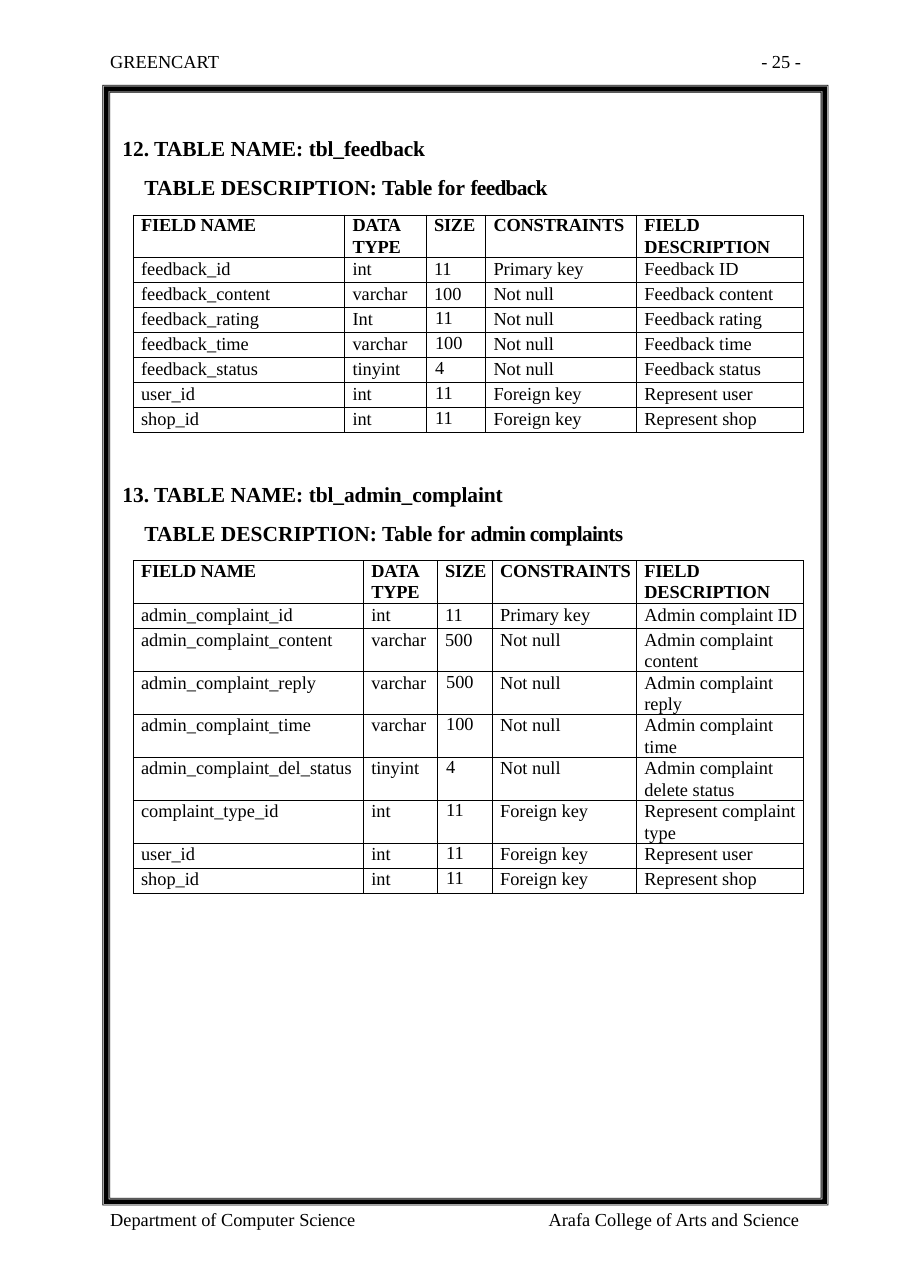
from lxml.etree import SubElement
from pptx import Presentation
from pptx.dml.color import RGBColor
from pptx.enum.text import MSO_ANCHOR, MSO_AUTO_SIZE, PP_ALIGN
from pptx.oxml.ns import qn
from pptx.util import Emu, Inches, Pt

PAGE_WIDTH, PAGE_HEIGHT = Inches(8.26), Inches(11.69)
INK = "000000"
BODY_FONT = {"name": "Times New Roman", "size": Pt(12), "bold": False}
HEADER_FONT = BODY_FONT | {"bold": True}
HEADING_FONT = HEADER_FONT | {"size": Pt(14)}
FRAME_INSETS = (0, 0.5, 1, 4, 4.5, 5)
HEADER_ROW, FIELD_ROW = 3.34, 1.94
TABLE_DROP = 7.27
COLUMN_NAMES = ("FIELD NAME", "DATA\nTYPE", "SIZE", "CONSTRAINTS", "FIELD DESCRIPTION")

SECTIONS = [
    {
        "top": 9.41,
        "name": ("12. TABLE NAME: ", "tbl_feedback"),
        "purpose": ("TABLE DESCRIPTION: Table for ", "feedback"),
        "columns": (23.24, 8.96, 6.54, 16.59, 18.28),
        "fields": [
            ("feedback_id", "int", "11", "Primary key", "Feedback ID"),
            ("feedback_content", "varchar", "100", "Not null", "Feedback content"),
            ("feedback_rating", "Int", "11", "Not null", "Feedback rating"),
            ("feedback_time", "varchar", "100", "Not null", "Feedback time"),
            ("feedback_status", "tinyint", "4", "Not null", "Feedback status"),
            ("user_id", "int", "11", "Foreign key", "Represent user"),
            ("shop_id", "int", "11", "Foreign key", "Represent shop"),
        ],
    },
    {
        "top": 36.27,
        "name": ("13. TABLE NAME: ", "tbl_admin_complaint"),
        "purpose": ("TABLE DESCRIPTION: Table for ", "admin complaints"),
        "columns": (25.3, 8.11, 6.05, 15.86, 18.28),
        "fields": [
            ("admin_complaint_id", "int", "11", "Primary key", "Admin complaint ID"),
            ("admin_complaint_content", "varchar", "500", "Not null", "Admin complaint content"),
            ("admin_complaint_reply", "varchar", "500", "Not null", "Admin complaint reply"),
            ("admin_complaint_time", "varchar", "100", "Not null", "Admin complaint time"),
            ("admin_complaint_del_status", "tinyint", "4", "Not null",
             "Admin complaint delete status"),
            ("complaint_type_id", "int", "11", "Foreign key", "Represent complaint type"),
            ("user_id", "int", "11", "Foreign key", "Represent user"),
            ("shop_id", "int", "11", "Foreign key", "Represent shop"),
        ],
    },
]


def color(hex_string):
    return RGBColor.from_string(hex_string)


def across(percent):
    return Emu(round(PAGE_WIDTH * percent / 100))


def down(percent):
    return Emu(round(PAGE_HEIGHT * percent / 100))


def area(left, top, width, height):
    """Turn percentages of the page into left, top, width and height."""
    return across(left), down(top), across(width), down(height)


def apply_format(target, values):
    for attribute, value in values.items():
        setattr(target, attribute, value)


def write_line(paragraph, pieces, font, indent, **spacing):
    """Fill a paragraph with (text, letter spacing in points) pieces."""
    paragraph._p.get_or_add_pPr().set("marL", str(Inches(indent)))
    apply_format(paragraph, {"alignment": PP_ALIGN.LEFT} | spacing)
    for text, tracking in pieces:
        run = paragraph.add_run()
        run.text = text
        apply_format(run.font, font)
        run.font.color.rgb = color(INK)
        if tracking:
            run._r.get_or_add_rPr().set("spc", str(round(tracking * 100)))


def prepare_frame(shape, top_margin=0):
    apply_format(shape.text_frame, {
        "margin_left": 0, "margin_right": 0, "margin_bottom": 0,
        "margin_top": Inches(top_margin), "word_wrap": True,
        "auto_size": MSO_AUTO_SIZE.NONE, "vertical_anchor": MSO_ANCHOR.TOP,
    })
    return shape.text_frame


def add_margin_note(slide, place, pieces, top_margin=0, **spacing):
    frame = prepare_frame(slide.shapes.add_textbox(*area(*place)), top_margin)
    write_line(frame.paragraphs[0], pieces, BODY_FONT, 0.01, **spacing)


def add_page_frame(slide, left, top, width, height):
    """Draw thin, thick and thin rings as nested outlines of one freeform."""
    builder = None
    for inset in map(Pt, FRAME_INSETS):
        x1, y1 = left + inset, top + inset
        x2, y2 = left + width - inset, top + height - inset
        if builder is None:
            builder = slide.shapes.build_freeform(x1, y1)
        else:
            builder.move_to(x1, y1)
        builder.add_line_segments([(x2, y1), (x2, y2), (x1, y2)], close=True)
    rings = builder.convert_to_shape()
    rings.shadow.inherit = False
    rings.fill.solid()
    rings.fill.fore_color.rgb = color(INK)
    rings.line.fill.background()


def write_heading(shape, section):
    apply_format(shape, dict(zip(("left", "top", "width", "height"),
                                 area(13.32, section["top"], 72.88, 6.24))))
    frame = prepare_frame(shape, 0.13)
    for key, tracking, indent, gap in (("name", -0.1, 0.01, 0), ("purpose", -0.5, 0.21, 8.6)):
        label, value = section[key]
        paragraph = frame.add_paragraph() if gap else frame.paragraphs[0]
        write_line(paragraph, [(label, 0), (value, tracking)], HEADING_FONT, indent,
                   space_before=Pt(gap))


def add_borders(cell):
    properties = cell._tc.get_or_add_tcPr()
    for side in ("a:lnL", "a:lnR", "a:lnT", "a:lnB"):
        line = SubElement(properties, qn(side), w=str(Pt(0.5)))
        SubElement(SubElement(line, qn("a:solidFill")), qn("a:srgbClr"), val=INK)


def write_cell(cell, text, font, tracking, indent, **spacing):
    add_borders(cell)
    cell.fill.background()
    apply_format(cell, {"margin_left": 0, "margin_right": 0, "margin_top": 0,
                        "margin_bottom": 0, "vertical_anchor": MSO_ANCHOR.TOP})
    for number, line in enumerate(text.split("\n")):
        frame = cell.text_frame
        paragraph = frame.add_paragraph() if number else frame.paragraphs[0]
        write_line(paragraph, [(line, tracking)], font, indent, **spacing)


def add_field_table(slide, section):
    rows = [COLUMN_NAMES, *section["fields"]]
    heights = [HEADER_ROW] + [FIELD_ROW] * len(section["fields"])
    place = area(14.65, section["top"] + TABLE_DROP, sum(section["columns"]), sum(heights))
    table = slide.shapes.add_table(len(rows), len(COLUMN_NAMES), *place).table
    apply_format(table, {"first_row": False, "horz_banding": False})
    for column, share in zip(table.columns, section["columns"]):
        column.width = across(share)
    for r, (values, height) in enumerate(zip(rows, heights)):
        table.rows[r].height = down(height)
        for c, text in enumerate(values):
            if r == 0:
                style = (HEADER_FONT, -0.1, 0.07)
                spacing = {"line_spacing": Pt(13.8)}
            elif COLUMN_NAMES[c] == "SIZE" and r > 2:
                style, spacing = (BODY_FONT, 0, 0.08), {}
            else:
                style, spacing = (BODY_FONT, 0, 0.07), {"line_spacing": Pt(14)}
            write_cell(table.cell(r, c), text, *style, **spacing)


def main():
    presentation = Presentation()
    apply_format(presentation, {"slide_width": PAGE_WIDTH, "slide_height": PAGE_HEIGHT})
    slide = presentation.slides.add_slide(presentation.slide_layouts[5])

    add_margin_note(slide, (11.99, 3.85, 21.67, 1.88), [("GREENCART", 0)], 0.01)
    add_margin_note(slide, (83.54, 3.85, 4.72, 1.88), [("- 25 ", 0), ("-", -0.5)], 0.01)
    add_page_frame(slide, *area(11.26, 6.59, 79.78, 87))
    for left, width, words in ((11.99, 27.36, "Department of Computer "),
                               (60.17, 28.09, "Arafa College of Arts and ")):
        add_margin_note(slide, (left, 93.84, width, 1.8), [(words, 0), ("Science", -0.1)],
                        line_spacing=Pt(14.1))

    first, second = SECTIONS
    write_heading(slide.shapes.title, first)
    add_field_table(slide, first)
    write_heading(slide.shapes.add_textbox(0, 0, 0, 0), second)
    add_field_table(slide, second)
    presentation.save("out.pptx")


if __name__ == "__main__":
    main()
